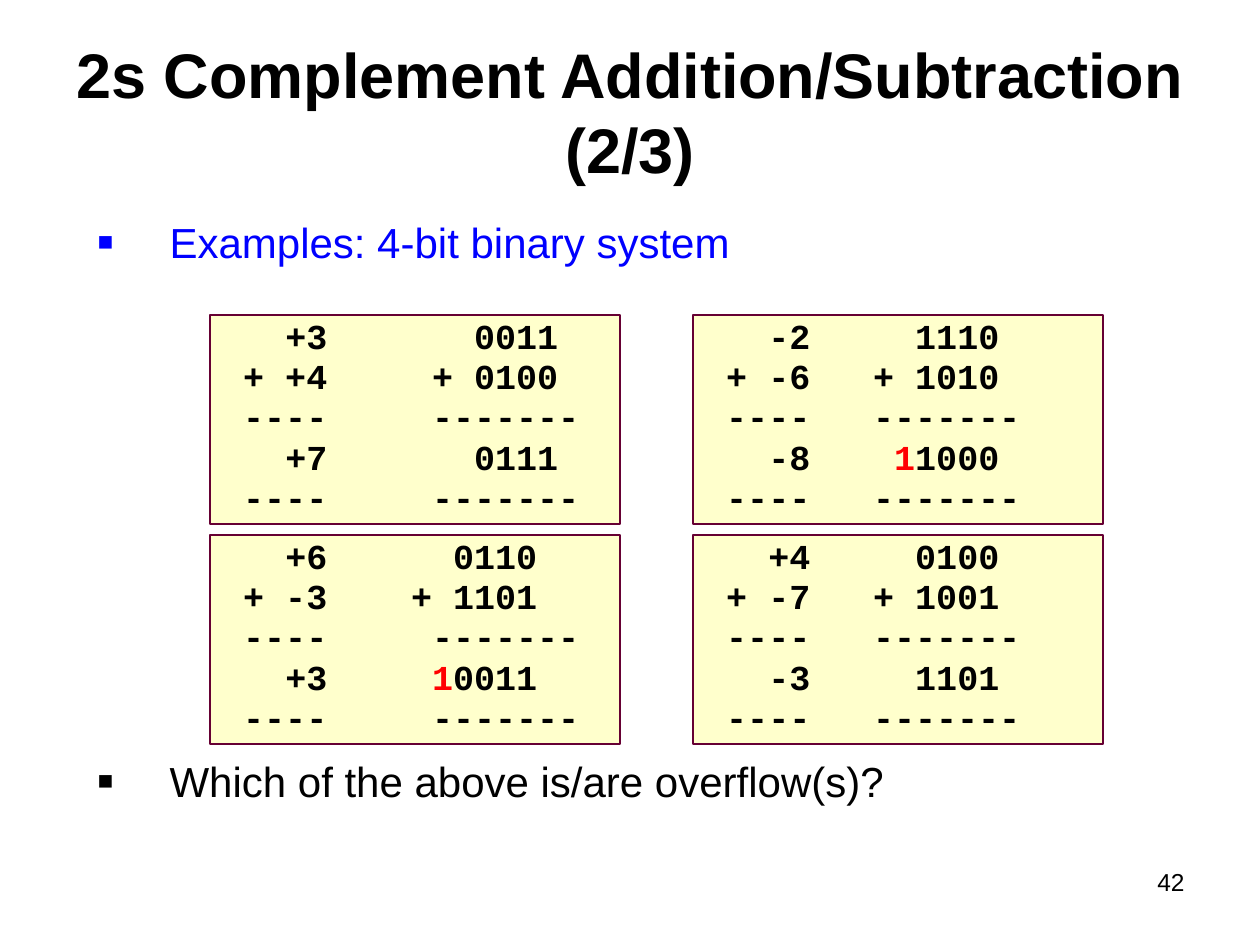
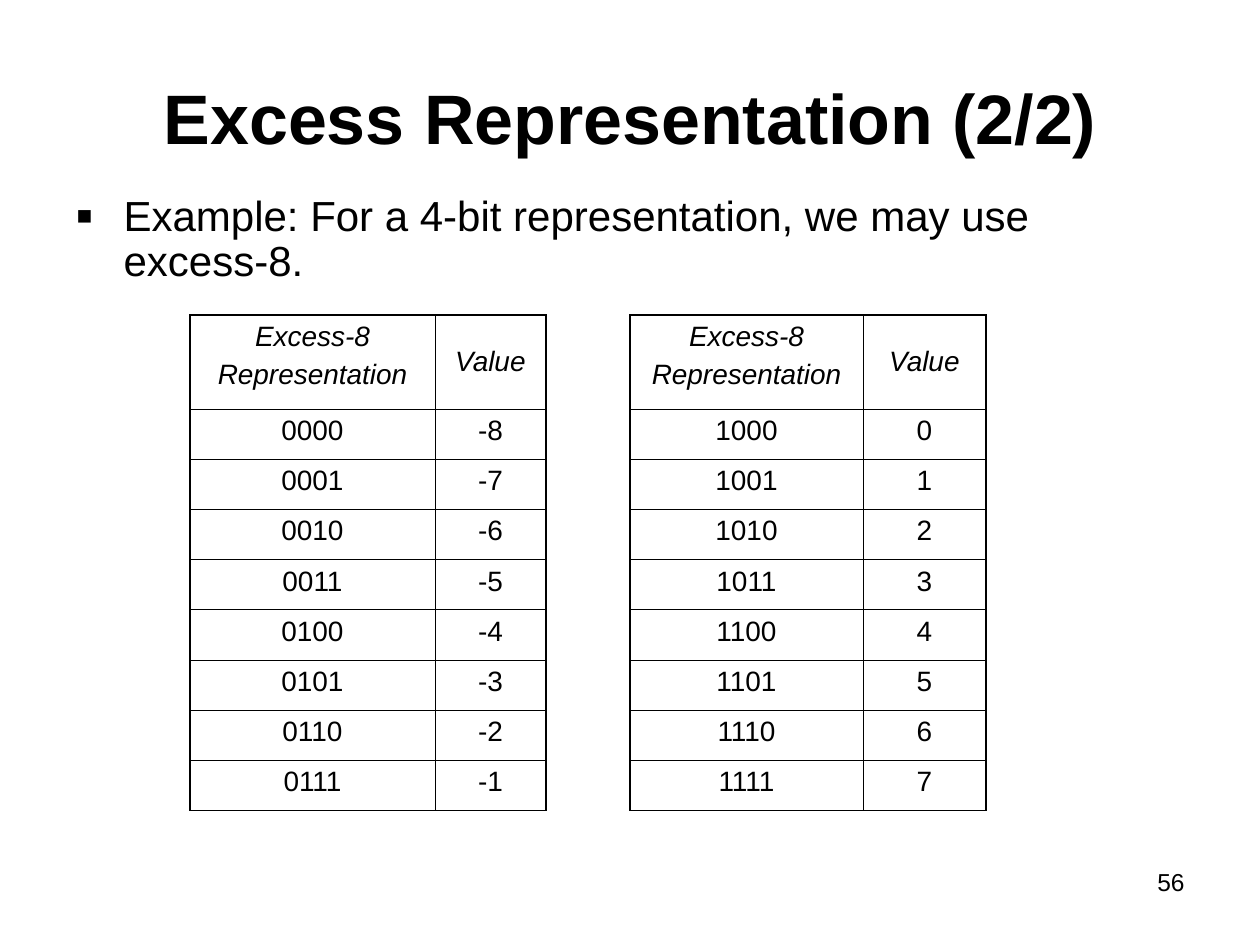
from lxml import etree
from pptx import Presentation
from pptx.dml.color import RGBColor
from pptx.enum.shapes import MSO_SHAPE
from pptx.enum.text import MSO_ANCHOR, MSO_AUTO_SIZE, PP_ALIGN
from pptx.oxml.ns import qn
from pptx.util import Emu, Pt

RECTANGLE = MSO_SHAPE.RECTANGLE
TOP, MIDDLE = MSO_ANCHOR.TOP, MSO_ANCHOR.MIDDLE
LEFT, CENTER, RIGHT = PP_ALIGN.LEFT, PP_ALIGN.CENTER, PP_ALIGN.RIGHT
NO_FIT = MSO_AUTO_SIZE.NONE

BLACK, BLUE, RED = "000000", "0000FF", "FF0000"
CREAM, MAROON = "FFFFCC", "660033"
SANS, MONO = "Arial", "Courier New"
NUMBER_BOX = (903, 861, 294, 66)

ADDITION = {
    "title": "2s Complement Addition/Subtraction (2/3)",
    "title_box": (63, 38, 1134, 146),
    "title_size": 36,
    "body_box": (84, 220, 1096, 588),
    "indent": 73,
    "line_spacing": 0.8,
    # text, colour, space before
    "bullets": [
        ("Examples: 4-bit binary system", BLUE, 0),
        ("Which of the above is/are overflow(s)?", BLACK, 285),
    ],
    "number": "42",
}
EXCESS = {
    "title": "Excess Representation (2/2)",
    "title_box": (63, 38, 1134, 158),
    "title_size": 40,
    "body_box": (63, 189, 1066, 116),
    "indent": 48,
    "line_spacing": 0.9,
    "bullets": [("Example: For a 4-bit representation, we may use excess-8.", BLACK, 0)],
    "number": "56",
}

# decimal column, binary operands, carry, result, end columns of digits and rule
SUMS = [
    (("+3", "+4", "+7"), ("0011", "0100"), "", "0111", 16, 17),
    (("-2", "-6", "-8"), ("1110", "1010"), "1", "1000", 14, 15),
    (("+6", "-3", "+3"), ("0110", "1101"), "1", "0011", 15, 17),
    (("+4", "-7", "-3"), ("0100", "1001"), "", "1101", 14, 15),
]
SUM_LEFT, SUM_TOP, SUM_WIDTH, SUM_HEIGHT = 210, 315, 410, 209
SUM_STEP_X, SUM_STEP_Y = 483, 220
DECIMAL_END = 5
CHARACTER_WIDTH = 21

HEADINGS = (("Excess-8", "Representation"), ("Value",))
# left edge, column widths, first value
EXCESS_TABLES = [(190, (245, 111), -8), (630, (233, 123), 0)]
TABLE_TOP, TABLE_HEIGHT, HEADER_HEIGHT, VALUE_COUNT = 315, 496, 94, 8
OUTER_LINE, INNER_LINE = 1.08, 0.45


def px(length):
    return Emu(round(length * 914400 / 126))


def place(box):
    return [px(length) for length in box]


def rgb(color):
    return RGBColor.from_string(color)


def add_child(parent, tag, **attributes):
    child = etree.SubElement(parent, qn(tag))
    for name, value in attributes.items():
        child.set(name, str(value))
    return child


def style(paragraph, size, color=BLACK, name=SANS, bold=False, italic=False,
          align=LEFT, before=0, spacing=1.0):
    paragraph.alignment = align
    paragraph.space_before = Pt(before)
    paragraph.line_spacing = spacing
    font = paragraph.font
    font.size, font.name = Pt(size), name
    font.bold, font.italic = bold, italic
    font.color.rgb = rgb(color)


def paragraphs_for(frame, count):
    """Return the frame's first paragraph followed by new ones, count in all."""
    return [frame.paragraphs[0]] + [frame.add_paragraph() for _ in range(count - 1)]


def fill_placeholder(shape, box, anchor):
    shape.left, shape.top, shape.width, shape.height = place(box)
    frame = shape.text_frame
    frame.auto_size, frame.vertical_anchor = NO_FIT, anchor
    return frame


def add_bullet(paragraph, color, indent):
    properties = paragraph._p.get_or_add_pPr()
    properties.set("marL", str(px(indent)))
    properties.set("indent", str(-px(indent)))
    add_child(add_child(properties, "a:buClr"), "a:srgbClr", val=color)
    add_child(properties, "a:buSzPct", val=120000)
    add_child(properties, "a:buFont", typeface=SANS)
    add_child(properties, "a:buChar", char="▪")


def add_slide(presentation, content):
    slide = presentation.slides.add_slide(presentation.slide_layouts[1])
    title = fill_placeholder(slide.shapes.title, content["title_box"], MIDDLE)
    title.text = content["title"]
    style(title.paragraphs[0], content["title_size"], bold=True, align=CENTER)

    body = fill_placeholder(slide.placeholders[1], content["body_box"], TOP)
    bullets = content["bullets"]
    for paragraph, (text, color, before) in zip(paragraphs_for(body, len(bullets)), bullets):
        paragraph.text = text
        add_bullet(paragraph, color, content["indent"])
        style(paragraph, 24, color, before=before, spacing=content["line_spacing"])

    number = slide.shapes.add_textbox(*place(NUMBER_BOX)).text_frame
    number.word_wrap = True
    number.text = content["number"]
    style(number.paragraphs[0], 14, align=RIGHT)
    return slide


def add_right_tabs(paragraph, columns):
    tabs = add_child(paragraph._p.get_or_add_pPr(), "a:tabLst")
    for column in columns:
        add_child(tabs, "a:tab", pos=px(column * CHARACTER_WIDTH), algn="r")


def add_sum(slide, index, decimals, operands, carry, result, digits_end, rule_end):
    row, column = divmod(index, 2)
    box = (SUM_LEFT + column * SUM_STEP_X, SUM_TOP + row * SUM_STEP_Y, SUM_WIDTH, SUM_HEIGHT)
    shape = slide.shapes.add_shape(RECTANGLE, *place(box))
    shape.shadow.inherit = False
    shape.fill.solid()
    shape.fill.fore_color.rgb = rgb(CREAM)
    shape.line.color.rgb = rgb(MAROON)
    shape.line.width = Pt(1)
    frame = shape.text_frame
    frame.vertical_anchor = TOP

    rule = ("----", "", "-" * 7, rule_end)
    lines = [
        (decimals[0], "", operands[0], digits_end),
        ("+ " + decimals[1], "", "+ " + operands[1], digits_end),
        rule,
        (decimals[2], carry, result, digits_end),
        rule,
    ]
    for position, (decimal, red_digit, binary, end) in enumerate(lines):
        paragraph = paragraphs_for(frame, 2)[1] if position else frame.paragraphs[0]
        add_right_tabs(paragraph, (DECIMAL_END, end))
        style(paragraph, 20, name=MONO, bold=True, before=2.5 if position else 0, spacing=0.85)
        paragraph.add_run().text = f"\t{decimal}\t"
        if red_digit:
            run = paragraph.add_run()
            run.text = red_digit
            run.font.color.rgb = rgb(RED)
        paragraph.add_run().text = binary


def set_borders(cell, outer_sides):
    properties = cell._tc.get_or_add_tcPr()
    for side in "LRTB":
        width = OUTER_LINE if side in outer_sides else INNER_LINE
        line = add_child(properties, f"a:ln{side}", w=Pt(width))
        add_child(add_child(line, "a:solidFill"), "a:srgbClr", val=BLACK)


def add_excess_table(slide, left, widths, first_value):
    values = range(first_value, first_value + VALUE_COUNT)
    rows = [HEADINGS] + [((f"{value + 8:04b}",), (str(value),)) for value in values]
    box = (left, TABLE_TOP, sum(widths), TABLE_HEIGHT)
    table = slide.shapes.add_table(len(rows), len(widths), *place(box)).table
    table.first_row = table.horz_banding = False
    for column, width in zip(table.columns, widths):
        column.width = px(width)
    for row_index, row in enumerate(rows):
        is_header = row_index == 0
        value_height = (TABLE_HEIGHT - HEADER_HEIGHT) / VALUE_COUNT
        table.rows[row_index].height = px(HEADER_HEIGHT if is_header else value_height)
        for column_index, lines in enumerate(row):
            cell = table.cell(row_index, column_index)
            outer_sides = "LR"[column_index]
            outer_sides += "T" if is_header else ""
            outer_sides += "B" if row_index == VALUE_COUNT else ""
            set_borders(cell, outer_sides)
            cell.fill.background()
            cell.vertical_anchor = MIDDLE if lines == HEADINGS[1] else TOP
            paragraphs = paragraphs_for(cell.text_frame, len(lines))
            for position, (paragraph, text) in enumerate(zip(paragraphs, lines)):
                paragraph.text = text
                style(paragraph, 16, italic=is_header, align=CENTER,
                      before=4 if position else 0)


def main():
    presentation = Presentation()
    presentation.slide_width, presentation.slide_height = px(1260), px(945)

    addition_slide = add_slide(presentation, ADDITION)
    for index, worked_sum in enumerate(SUMS):
        add_sum(addition_slide, index, *worked_sum)

    excess_slide = add_slide(presentation, EXCESS)
    for excess_table in EXCESS_TABLES:
        add_excess_table(excess_slide, *excess_table)

    presentation.save("out.pptx")


if __name__ == "__main__":
    main()
